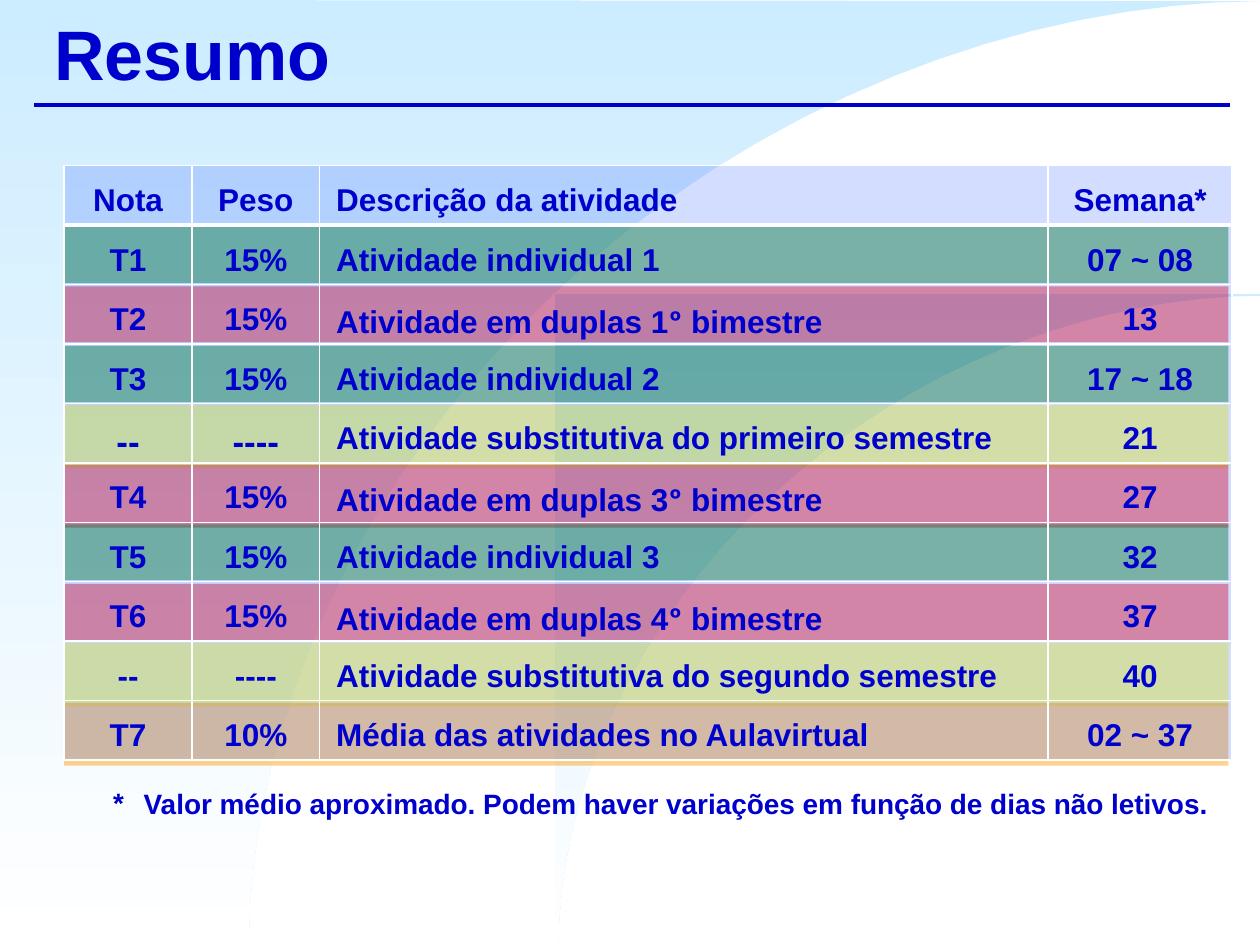
"""Build the assessment summary slide with its weighted activity table."""
from dataclasses import dataclass
from math import cos, pi, sin

from lxml.etree import SubElement
from pptx import Presentation
from pptx.dml.color import RGBColor as Color
from pptx.enum.shapes import MSO_CONNECTOR as Connector, MSO_SHAPE as Preset
from pptx.enum.text import MSO_ANCHOR as Anchor, PP_ALIGN as Align
from pptx.oxml import parse_xml
from pptx.oxml.ns import nsdecls, qn
from pptx.util import Pt

TITLE = "Resumo"
HEADER = ("Nota", "Peso", "Descrição da atividade", "Semana*")
ACTIVITIES = [
    ("individual", "T1", "15%", "Atividade individual 1", "07 ~ 08"),
    ("pair", "T2", "15%", "Atividade em duplas 1º bimestre", "13"),
    ("individual", "T3", "15%", "Atividade individual 2", "17 ~ 18"),
    ("makeup", "--", "----", "Atividade substitutiva do primeiro semestre", "21"),
    ("pair", "T4", "15%", "Atividade em duplas 3º bimestre", "27"),
    ("individual", "T5", "15%", "Atividade individual 3", "32"),
    ("pair", "T6", "15%", "Atividade em duplas 4º bimestre", "37"),
    ("makeup", "--", "----", "Atividade substitutiva do segundo semestre", "40"),
    ("average", "T7", "10%", "Média das atividades no Aulavirtual", "02 ~ 37"),
]
FOOTNOTE = "Valor médio aproximado. Podem haver variações em função de dias não letivos."
BANDS = {"individual": "008000", "pair": "FF0000", "makeup": "FFFF00", "average": "FF9900"}
TALL_BANDS = (3, 4, 7, 8)
LARGE_DASHES = (4, 4)


@dataclass(frozen=True)
class Theme:
    ink: str = "0000CC"
    sky: str = "CCECFF"
    white: str = "FFFFFF"
    cell: str = "3366FF"
    font: str = "Arial"
    ordinal_font: str = "Calibri"
    mark_font: str = "Courier New"
    title_size: int = 40
    cell_size: int = 18
    dash_size: int = 20
    note_size: int = 16
    band_alpha: int = 44
    cell_alpha: int = 22


THEME = Theme()
WIDTH, HEIGHT = 720, 540
TABLE_LEFT, TABLE_TOP, ROW_HEIGHT = 36.72, 94.5, 34
COLUMN_WIDTHS = (73, 73, 416.3, 105)
BAND_WIDTH = 665.3


def box(left, top, width, height):
    return [Pt(value) for value in (left, top, width, height)]


def apply(target, values):
    for name, value in values.items():
        setattr(target, name, value)


def add_run(paragraph, text, size, font=THEME.font):
    run = paragraph.add_run()
    run.text = text
    apply(run.font, {"name": font, "size": Pt(size), "bold": True})
    run.font.color.rgb = Color.from_string(THEME.ink)


def fill_translucent(target, colour, alpha):
    target.fill.solid()
    target.fill.fore_color.rgb = Color.from_string(colour)


def set_alpha(element, percent):
    colour = next(element.iter(qn("a:srgbClr")))
    SubElement(colour, qn("a:alpha"), val=str(percent * 1000))


def add_swoosh(slide, radius_x, radius_y, corners):
    steps, bend = 32, 2 / 1.9
    angles = [pi / 2 * step / steps for step in range(steps + 1)]
    arc = [(WIDTH - radius_x * max(cos(angle), 0) ** bend,
            HEIGHT - radius_y * sin(angle) ** bend) for angle in angles]
    points = [(Pt(x), Pt(y)) for x, y in arc + corners]
    builder = slide.shapes.build_freeform(*points[0])
    builder.add_line_segments(points[1:], close=True)
    shape = builder.convert_to_shape()
    shape.shadow.inherit = False
    shape.line.fill.background()
    shape.fill.gradient()
    shape.fill.gradient_angle = 270
    for stop, colour, position in zip(shape.fill.gradient_stops, (THEME.sky, THEME.white), (0, 1)):
        stop.color.rgb = Color.from_string(colour)
        stop.position = position


def add_title(slide):
    rule = slide.shapes.add_connector(Connector.STRAIGHT, Pt(19.5), Pt(60.2), Pt(702.7), Pt(60.2))
    rule.line.color.rgb = Color.from_string(THEME.ink)
    rule.line.width = Pt(2.25)
    SubElement(rule.element.spPr, qn("a:effectLst"))
    title = slide.shapes.title
    apply(title, dict(zip(("left", "top", "width", "height"), box(23.8, 0, 678.2, 60))))
    title.text_frame.vertical_anchor = Anchor.MIDDLE
    paragraph = title.text_frame.paragraphs[0]
    paragraph.alignment = Align.LEFT
    add_run(paragraph, TITLE, THEME.title_size)
    title.element.getparent().append(title.element)


def add_bands(slide):
    for index, (kind, *_) in enumerate(ACTIVITIES):
        height = 36 if index in TALL_BANDS else 32
        top = TABLE_TOP + 35.1 + index * ROW_HEIGHT
        band = slide.shapes.add_shape(Preset.RECTANGLE, *box(TABLE_LEFT, top, BAND_WIDTH, height))
        band.shadow.inherit = False
        band.line.fill.background()
        fill_translucent(band, BANDS[kind], THEME.band_alpha)
        set_alpha(band.element.spPr, THEME.band_alpha)


def format_cell(cell, row):
    apply(cell, {"margin_left": Pt(9.4), "margin_right": Pt(9.4), "margin_top": 0, "margin_bottom": 0})
    fill_translucent(cell, THEME.cell, THEME.cell_alpha)
    properties = cell._tc.get_or_add_tcPr()
    set_alpha(properties, THEME.cell_alpha)
    for position, side in enumerate("LRTB"):
        width = 3 if (row, side) in ((0, "B"), (1, "T")) else 1
        properties.insert(position, parse_xml(
            f'<a:ln{side} {nsdecls("a")} w="{Pt(width)}"><a:solidFill>'
            f'<a:srgbClr val="{THEME.white}"/></a:solidFill></a:ln{side}>'))


def add_activity_table(slide):
    rows = [HEADER] + [cells for _, *cells in ACTIVITIES]
    frame = slide.shapes.add_table(len(rows), len(HEADER), *box(
        TABLE_LEFT, TABLE_TOP, sum(COLUMN_WIDTHS), ROW_HEIGHT * len(rows)))
    table = frame.table
    apply(table, {"first_row": False, "horz_banding": False})
    for column, width in zip(table.columns, COLUMN_WIDTHS):
        column.width = Pt(width)
    for row, texts in enumerate(rows):
        for column, text in enumerate(texts):
            cell = table.cell(row, column)
            format_cell(cell, row)
            paragraph = cell.text_frame.paragraphs[0]
            apply(paragraph, {
                "alignment": Align.LEFT if column == 2 else Align.CENTER,
                "line_spacing": 1.5, "space_before": Pt(6), "space_after": Pt(6)})
            size = THEME.dash_size if row == LARGE_DASHES[0] and column < 2 else THEME.cell_size
            before, ordinal, after = text.partition("º")
            add_run(paragraph, before, size)
            if ordinal:
                add_run(paragraph, ordinal, size, THEME.ordinal_font)
                add_run(paragraph, after, size)


def add_footnote(slide):
    frame = slide.shapes.add_textbox(*box(TABLE_LEFT, 445.7, BAND_WIDTH, 85)).text_frame
    frame.word_wrap = True
    paragraph = frame.paragraphs[0]
    apply(paragraph, {"alignment": Align.JUSTIFY, "space_before": Pt(6)})
    paragraph._p.get_or_add_pPr().set("marL", str(Pt(19.2)))
    add_run(paragraph, "* ", THEME.note_size, THEME.mark_font)
    add_run(paragraph, FOOTNOTE, THEME.note_size)


def main():
    presentation = Presentation()
    apply(presentation, {"slide_width": Pt(WIDTH), "slide_height": Pt(HEIGHT)})
    slide = presentation.slides.add_slide(presentation.slide_layouts[5])
    add_swoosh(slide, 578, 539.3, [(0, 0), (0, HEIGHT)])
    add_swoosh(slide, 401, 371, [(WIDTH, 168), (317, 168), (317, HEIGHT)])
    add_bands(slide)
    add_activity_table(slide)
    add_title(slide)
    add_footnote(slide)
    presentation.save("out.pptx")


if __name__ == "__main__":
    main()
